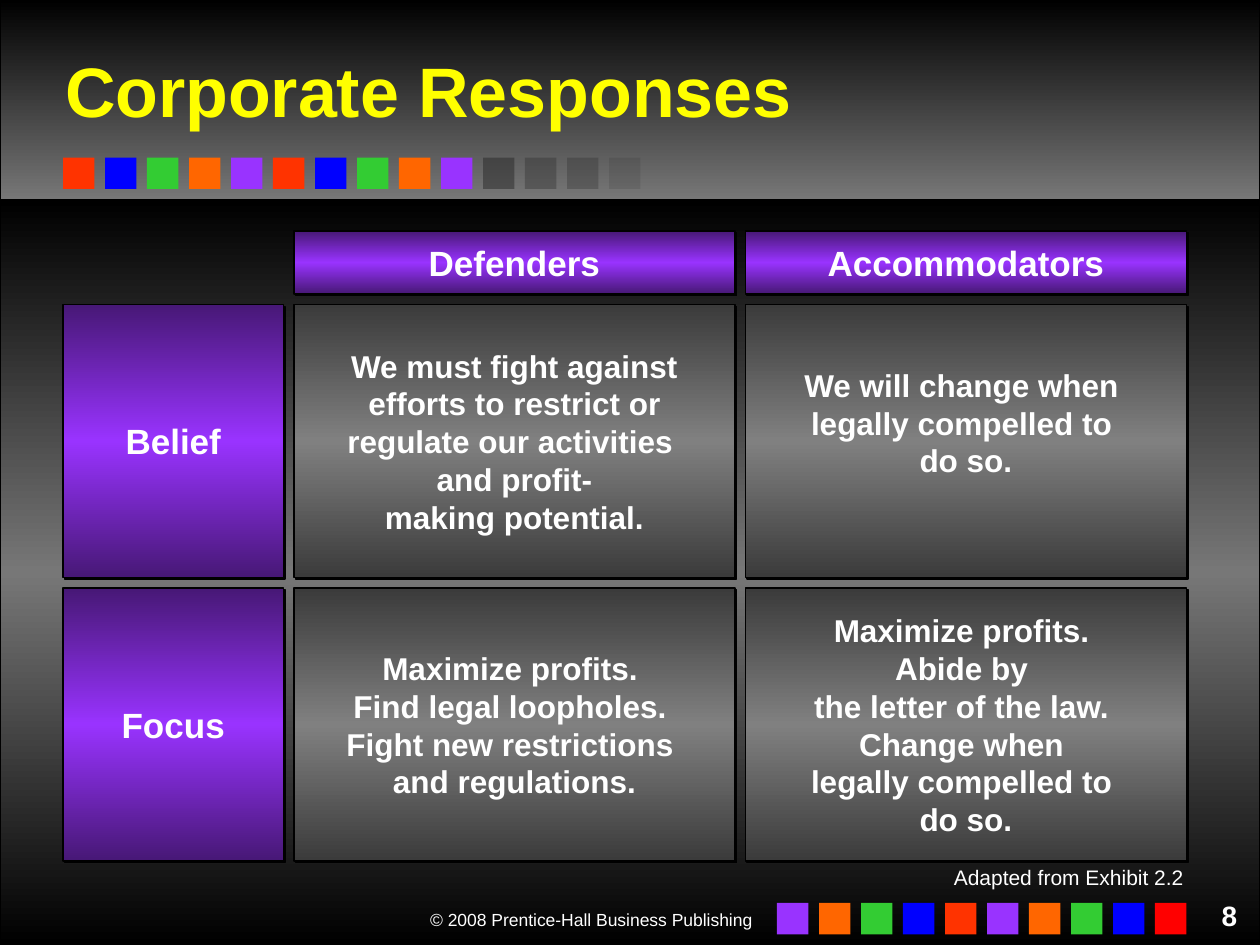
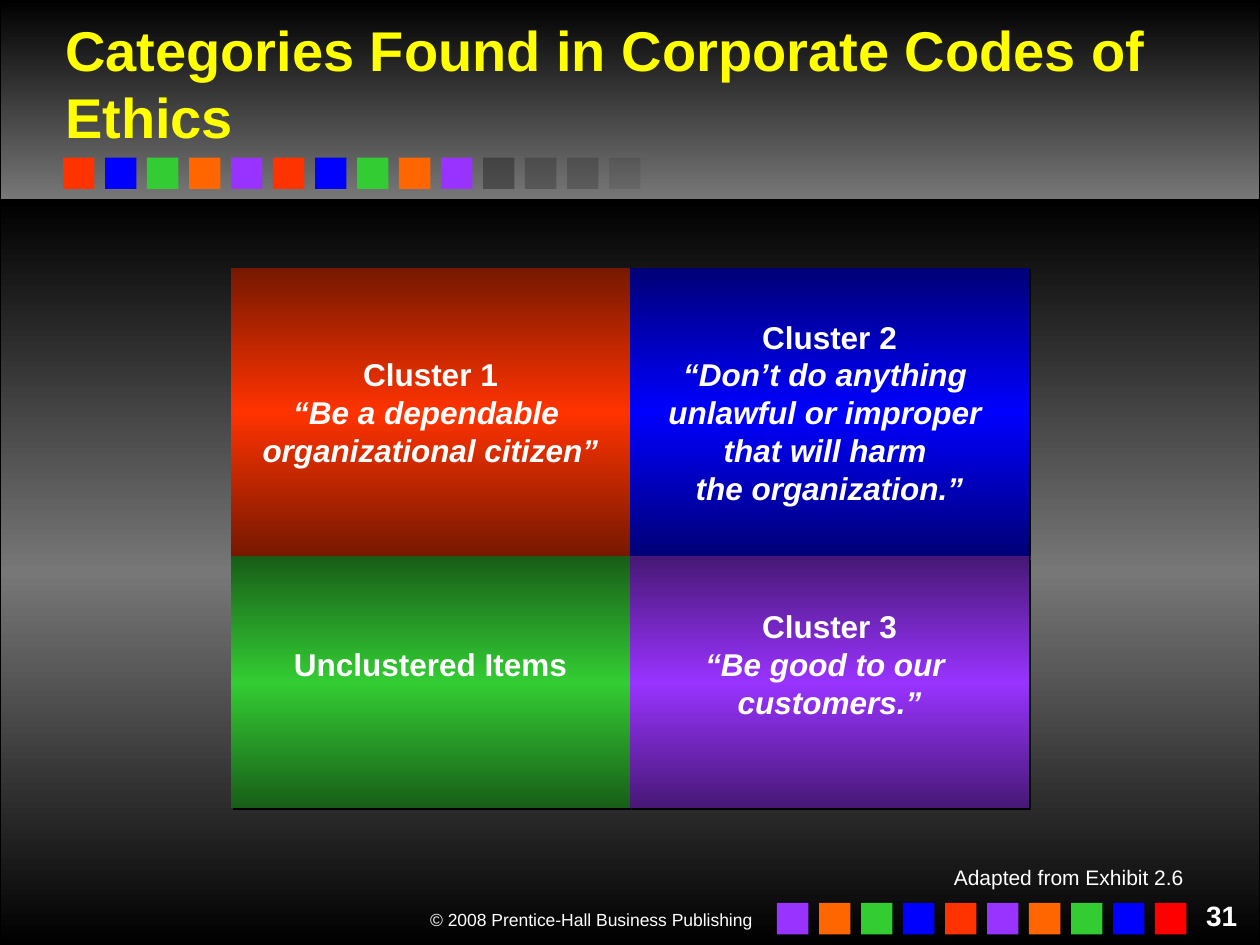
from dataclasses import dataclass
from itertools import product

from lxml import etree
from pptx import Presentation
from pptx.dml.color import RGBColor
from pptx.enum.shapes import MSO_SHAPE
from pptx.enum.text import MSO_ANCHOR, MSO_AUTO_SIZE, PP_ALIGN
from pptx.oxml.ns import qn
from pptx.shapes.autoshape import Shape
from pptx.slide import Slide, SlideLayout
from pptx.text.text import TextFrame
from pptx.util import Pt

RECTANGLE = MSO_SHAPE.RECTANGLE
MIDDLE, TOP = MSO_ANCHOR.MIDDLE, MSO_ANCHOR.TOP
LEFT, CENTER, RIGHT = PP_ALIGN.LEFT, PP_ALIGN.CENTER, PP_ALIGN.RIGHT
FIXED = MSO_AUTO_SIZE.NONE

BLACK = RGBColor(0x00, 0x00, 0x00)
WHITE = RGBColor(0xFF, 0xFF, 0xFF)
YELLOW = RGBColor(0xFF, 0xFF, 0x00)
BAND_GRAY = RGBColor(0x77, 0x77, 0x77)
CELL_GRAY = RGBColor(0x80, 0x80, 0x80)
FADED_GRAY = RGBColor(0x29, 0x29, 0x29)
ORANGE_RED = RGBColor(0xFF, 0x33, 0x00)
RED = RGBColor(0xFF, 0x00, 0x00)
BLUE = RGBColor(0x00, 0x00, 0xFF)
GREEN = RGBColor(0x33, 0xCC, 0x33)
ORANGE = RGBColor(0xFF, 0x66, 0x00)
PURPLE = RGBColor(0x99, 0x33, 0xFF)

FONT = "Arial"
SLIDE_WIDTH, SLIDE_HEIGHT, HEADER_HEIGHT = 720, 540, 114
SQUARE, SQUARE_PITCH = 18, 24
TOP_SQUARES = [ORANGE_RED, BLUE, GREEN, ORANGE, PURPLE] * 2
FADED_OPACITIES = [50, 35, 30, 15]
BOTTOM_SQUARES = [PURPLE, ORANGE, GREEN, BLUE, ORANGE_RED,
                  PURPLE, ORANGE, GREEN, BLUE, RED]
LAST_LINE_GAP = 21


@dataclass(frozen=True)
class Area:
    """A rectangle on the slide, in points."""
    left: float
    top: float
    width: float
    height: float

    def lengths(self) -> tuple[Pt, Pt, Pt, Pt]:
        """Return left, top, width and height as lengths."""
        return Pt(self.left), Pt(self.top), Pt(self.width), Pt(self.height)


@dataclass(frozen=True)
class Panel:
    """A shaded panel with centred lines of text."""
    area: Area
    color: RGBColor
    text: str
    size: int = 18
    outlined: bool = True
    quoted: bool = False
    bottom_inset: float = 0


@dataclass(frozen=True)
class Heading:
    """The title, source note and number of a slide."""
    title: str
    area: Area
    size: int
    source: str
    number: str


def dim(color: RGBColor) -> RGBColor:
    """Return the dark end of a panel gradient."""
    return RGBColor(*(round(channel * 118 / 255) for channel in color))


def add_color(parent: etree._Element, color: RGBColor) -> None:
    """Append a colour element to an XML parent."""
    etree.SubElement(parent, qn("a:srgbClr"), val=str(color))


def add_shadow(effects: etree._Element) -> None:
    """Add a short hard shadow to an effect list."""
    shadow = etree.SubElement(effects, qn("a:outerShdw"), blurRad="0",
                              dist=str(Pt(1.4)), dir=str(45 * 60000))
    add_color(shadow, BLACK)


def style_text(frame: TextFrame, size: float, color: RGBColor,
               align: PP_ALIGN, bold: bool = False) -> None:
    """Format every paragraph and run of a text frame."""
    for para in frame.paragraphs:
        para.alignment = align
        for span in para.runs:
            span.font.name = FONT
            span.font.size = Pt(size)
            span.font.bold = bold
            span.font.color.rgb = color


def add_rectangle(page: Slide, area: Area, outlined: bool = False) -> Shape:
    """Add a rectangle without a shadow, with a thin black line if asked."""
    box = page.shapes.add_shape(RECTANGLE, *area.lengths())
    box.shadow.inherit = False
    if outlined:
        box.line.color.rgb = BLACK
        box.line.width = Pt(0.75)
    else:
        box.line.fill.background()
    return box


def fill_gradient(box: Shape, *colors: RGBColor) -> None:
    """Fill a shape from top to bottom with evenly spaced colours."""
    box.fill.gradient()
    box.fill.gradient_angle = 270
    stops = box._element.spPr.find(qn("a:gradFill")).find(qn("a:gsLst"))
    for stop in list(stops):
        stops.remove(stop)
    for index, color in enumerate(colors):
        position = 100000 * index // (len(colors) - 1)
        add_color(etree.SubElement(stops, qn("a:gs"), pos=str(position)), color)


def add_squares(page: Slide, left: float, top: float,
                squares: list[tuple[RGBColor, int]]) -> None:
    """Draw a row of small squares, each with a colour and opacity."""
    for index, (color, opacity) in enumerate(squares):
        area = Area(left + index * SQUARE_PITCH, top, SQUARE, SQUARE)
        box = add_rectangle(page, area)
        box.fill.solid()
        box.fill.fore_color.rgb = color
        if opacity < 100:
            solid = box._element.spPr.find(qn("a:solidFill"))
            etree.SubElement(solid[0], qn("a:alpha"), val=str(opacity * 1000))


def add_label(page: Slide, area: Area, text: str, size: float,
              bold: bool = False, line_spacing: float = 1.0) -> None:
    """Add a right-aligned white line of text."""
    box = page.shapes.add_textbox(*area.lengths())
    frame = box.text_frame
    frame.word_wrap = True
    frame.vertical_anchor = TOP
    frame.text = text
    frame.paragraphs[0].line_spacing = line_spacing
    style_text(frame, size, WHITE, RIGHT, bold)


def add_panel(page: Slide, panel: Panel) -> None:
    """Draw a shaded, shadowed panel with its text."""
    box = add_rectangle(page, panel.area, panel.outlined)
    fill_gradient(box, dim(panel.color), panel.color, dim(panel.color))
    add_shadow(box._element.spPr.find(qn("a:effectLst")))
    frame = box.text_frame
    frame.word_wrap = False
    frame.vertical_anchor = MIDDLE
    frame.margin_top = 0
    frame.margin_bottom = Pt(panel.bottom_inset)
    frame.text = panel.text
    style_text(frame, panel.size, WHITE, CENTER, True)
    if panel.quoted:
        for para in frame.paragraphs[1:]:
            para.runs[0].font.italic = True


def build_layout(page: Slide, layout: SlideLayout) -> None:
    """Draw the shared bands, squares and copyright and move them to the layout."""
    first_new = len(page.shapes)
    header = Area(0, 0, SLIDE_WIDTH, HEADER_HEIGHT)
    fill_gradient(add_rectangle(page, header, True), BLACK, BAND_GRAY)
    body = Area(0, HEADER_HEIGHT, SLIDE_WIDTH, SLIDE_HEIGHT - HEADER_HEIGHT)
    fill_gradient(add_rectangle(page, body, True), BLACK, BAND_GRAY, BLACK)
    add_label(page, Area(210, 516, 226.8, 19.4),
              "© 2008 Prentice-Hall Business Publishing", 10)
    add_squares(page, 36, 90, [(color, 100) for color in TOP_SQUARES]
                + [(FADED_GRAY, opacity) for opacity in FADED_OPACITIES])
    add_squares(page, 444, 516, [(color, 100) for color in BOTTOM_SQUARES])
    for number, box in enumerate(list(page.shapes)[first_new:], start=100):
        box._element.nvSpPr.cNvPr.set("id", str(number))
        layout.shapes._spTree.append(box._element)


def add_heading(page: Slide, heading: Heading) -> None:
    """Fill the title placeholder and add the source note and number."""
    title = page.shapes.title
    title.left, title.top, title.width, title.height = heading.area.lengths()
    frame = title.text_frame
    frame.word_wrap = True
    frame.auto_size = FIXED
    frame.vertical_anchor = MIDDLE
    frame.text = heading.title
    style_text(frame, heading.size, YELLOW, LEFT, True)
    fill = frame.paragraphs[0].runs[0].font._element.find(qn("a:solidFill"))
    effects = etree.Element(qn("a:effectLst"))
    fill.addnext(effects)
    add_shadow(effects)
    add_label(page, Area(678, 510, 36, 12), heading.number, 16, bold=True)
    add_label(page, Area(510, 492, 173.5, 20), heading.source, 12,
              line_spacing=0.9)


def add_responses(page: Slide) -> None:
    """Draw the grid that compares defenders and accommodators."""
    columns = [(36, 126), (168, 252), (426, 252)]
    rows = [(132, 36), (174, 156), (336, 156)]
    texts = [
        ["", "Defenders", "Accommodators"],
        ["Belief",
         "We must fight against\n efforts to restrict or \n"
         "regulate our activities \nand profit-\nmaking potential.",
         "We will change when \nlegally compelled to \ndo so."],
        ["Focus",
         "Maximize profits. \nFind legal loopholes. \n"
         "Fight new restrictions \nand regulations.",
         "Maximize profits. \nAbide by \nthe letter of the law. \n"
         "Change when \nlegally compelled to \ndo so."],
    ]
    for row, column in product(range(3), range(3)):
        text = texts[row][column]
        if not text:
            continue
        left, width = columns[column]
        top, height = rows[row]
        is_header = row == 0 or column == 0
        gap = LAST_LINE_GAP if (row, column) == (1, 2) else 0
        add_panel(page, Panel(Area(left, top, width, height),
                              PURPLE if is_header else CELL_GRAY, text,
                              size=20 if is_header else 18, bottom_inset=gap))


def add_clusters(page: Slide) -> None:
    """Draw the four adjoining cluster panels."""
    left, middle, width = 132, 360, 228
    upper, lower, upper_height, lower_height = 153, 318, 165, 144
    panels = [
        (Area(left, upper, width, upper_height), ORANGE_RED,
         "Cluster 1\n“Be a dependable \norganizational citizen”", 0),
        (Area(middle, upper, width, upper_height), BLUE,
         "Cluster 2\n“Don’t do anything \nunlawful or improper \n"
         "that will harm \nthe organization.”", 0),
        (Area(left, lower, width, lower_height), GREEN,
         "Unclustered Items", LAST_LINE_GAP),
        (Area(middle, lower, width, lower_height), PURPLE,
         "Cluster 3\n“Be good to our \ncustomers.”", LAST_LINE_GAP),
    ]
    for area, color, text, gap in panels:
        add_panel(page, Panel(area, color, text, outlined=False, quoted=True,
                              bottom_inset=gap))


def main() -> None:
    """Build and save the deck."""
    deck = Presentation()
    deck.slide_width, deck.slide_height = Pt(SLIDE_WIDTH), Pt(SLIDE_HEIGHT)
    layout = deck.slide_layouts[5]
    responses = deck.slides.add_slide(layout)
    build_layout(responses, layout)
    add_heading(responses, Heading("Corporate Responses", Area(30, 18, 654, 66),
                                   40, "Adapted from Exhibit 2.2", "8"))
    add_responses(responses)
    clusters = deck.slides.add_slide(layout)
    add_heading(clusters, Heading("Categories Found in Corporate Codes of Ethics",
                                  Area(30, 4.5, 642, 85.5), 32,
                                  "Adapted from Exhibit 2.6", "31"))
    add_clusters(clusters)
    deck.save("out.pptx")


if __name__ == "__main__":
    main()
